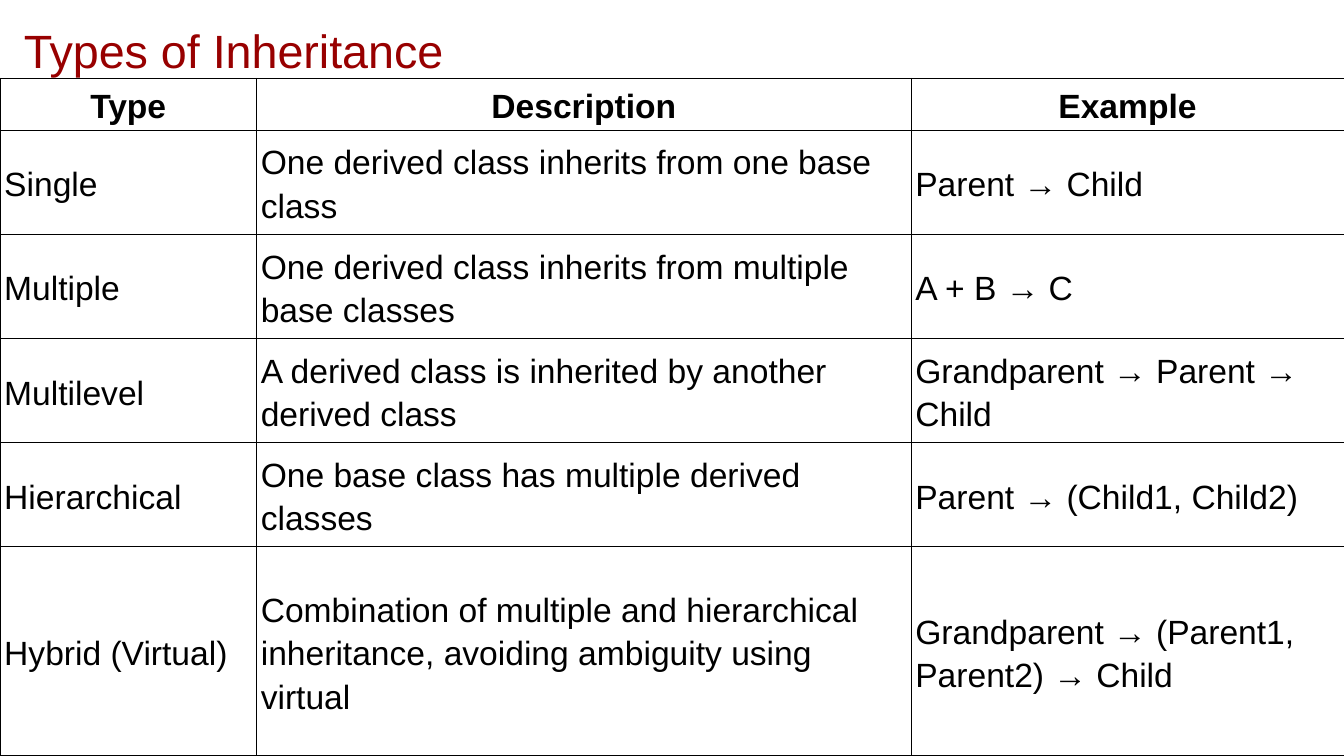
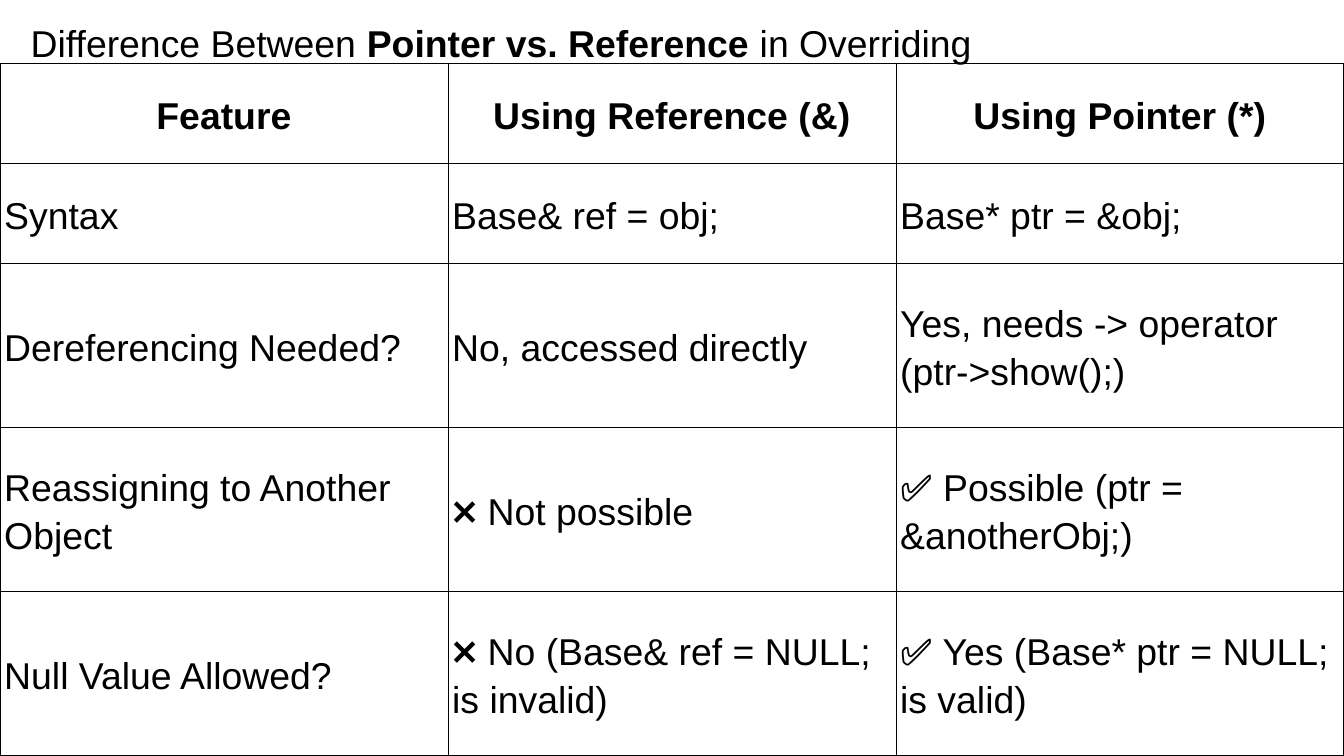
from lxml.etree import SubElement
from pptx import Presentation
from pptx.dml.color import RGBColor
from pptx.enum.text import MSO_ANCHOR, PP_ALIGN
from pptx.oxml.ns import qn
from pptx.util import Cm, Pt

BLACK = RGBColor(0x00, 0x00, 0x00)
DARK_RED = RGBColor(0x98, 0x00, 0x00)
FONT = "Arial"
LINE_SPACING = 1.15
PAGE_WIDTH, PAGE_HEIGHT = 25.4, 14.29


class Lecture:
    """Holds the shared style and the current slide."""

    def __init__(self):
        self.deck = Presentation()
        self.deck.slide_width = Cm(PAGE_WIDTH)
        self.deck.slide_height = Cm(PAGE_HEIGHT)
        self.page = None

    def new_page(self):
        self.page = self.deck.slides.add_slide(self.deck.slide_layouts[6])

    def add_span(self, para, text, size, color=BLACK, bold=False):
        para.line_spacing = LINE_SPACING
        span = para.add_run()
        span.text = text
        span.font.name = FONT
        span.font.size = Pt(size)
        span.font.bold = bold
        span.font.color.rgb = color

    def title(self, left, width, spans, size, color=BLACK, after=0):
        box = self.page.shapes.add_textbox(Cm(left), Cm(0), Cm(width), Cm(1.6))
        frame = box.text_frame
        frame.word_wrap = True
        frame.margin_left = frame.margin_right = Cm(0.25)
        frame.margin_top = frame.margin_bottom = Cm(0.25)
        para = frame.paragraphs[0]
        para.space_after = Pt(after)
        for text, bold in spans:
            self.add_span(para, text, size, color, bold)

    def table(self, top, widths, heights, rows, size):
        shape = self.page.shapes.add_table(
            len(rows), len(widths), Cm(0), Cm(top), Cm(sum(widths)), Cm(sum(heights)))
        grid = shape.table
        grid.first_row = grid.horz_banding = False
        for column, width in zip(grid.columns, widths):
            column.width = Cm(width)
        for row, height in zip(grid.rows, heights):
            row.height = Cm(height)
        for r, texts in enumerate(rows):
            for c, text in enumerate(texts):
                self.cell(grid.cell(r, c), text, size, header=r == 0)

    def cell(self, cell, text, size, header):
        cell.vertical_anchor = MSO_ANCHOR.MIDDLE
        cell.margin_left = cell.margin_right = Cm(0.08)
        cell.margin_top = cell.margin_bottom = Cm(0.05)
        self.borders(cell)
        cell.fill.background()
        para = cell.text_frame.paragraphs[0]
        para.alignment = PP_ALIGN.CENTER if header else PP_ALIGN.LEFT
        self.add_span(para, text, size, bold=header)

    def borders(self, cell):
        properties = cell._tc.get_or_add_tcPr()
        for side in ("a:lnL", "a:lnR", "a:lnT", "a:lnB"):
            line = SubElement(properties, qn(side), w=str(Pt(0.5)))
            fill = SubElement(line, qn("a:solidFill"))
            SubElement(fill, qn("a:srgbClr"), val=str(BLACK))


INHERITANCE = [
    ("Type", "Description", "Example"),
    ("Single", "One derived class inherits from one base class", "Parent → Child"),
    ("Multiple", "One derived class inherits from multiple base classes", "A + B → C"),
    ("Multilevel", "A derived class is inherited by another derived class",
     "Grandparent → Parent → Child"),
    ("Hierarchical", "One base class has multiple derived classes",
     "Parent → (Child1, Child2)"),
    ("Hybrid (Virtual)",
     "Combination of multiple and hierarchical inheritance, avoiding ambiguity using virtual",
     "Grandparent → (Parent1, Parent2) → Child"),
]

OVERRIDING = [
    ("Feature", "Using Reference (&)", "Using Pointer (*)"),
    ("Syntax", "Base& ref = obj;", "Base* ptr = &obj;"),
    ("Dereferencing Needed?", "No, accessed directly",
     "Yes, needs -> operator (ptr->show();)"),
    ("Reassigning to Another Object", "❌ Not possible",
     "✅ Possible (ptr = &anotherObj;)"),
    ("Null Value Allowed?", "❌ No (Base& ref = NULL; is invalid)",
     "✅ Yes (Base* ptr = NULL; is valid)"),
]


def main():
    lecture = Lecture()

    # Types of inheritance
    lecture.new_page()
    lecture.title(0.2, 25, [("Types of Inheritance", False)], 25, DARK_RED, after=12)
    lecture.table(1.48, [4.85, 12.37, 8.18], [0.97] + [1.97] * 4 + [3.95],
                  INHERITANCE, 18)

    # Pointer and reference compared
    lecture.new_page()
    lecture.title(0.33, 23.67, [("Difference Between ", False),
                                ("Pointer vs. Reference", True),
                                (" in Overriding", False)], 20, after=4)
    lecture.table(1.2, [PAGE_WIDTH / 3] * 3, [1.89] * 2 + [3.1] * 3, OVERRIDING, 20)

    lecture.deck.save("out.pptx")


if __name__ == "__main__":
    main()
